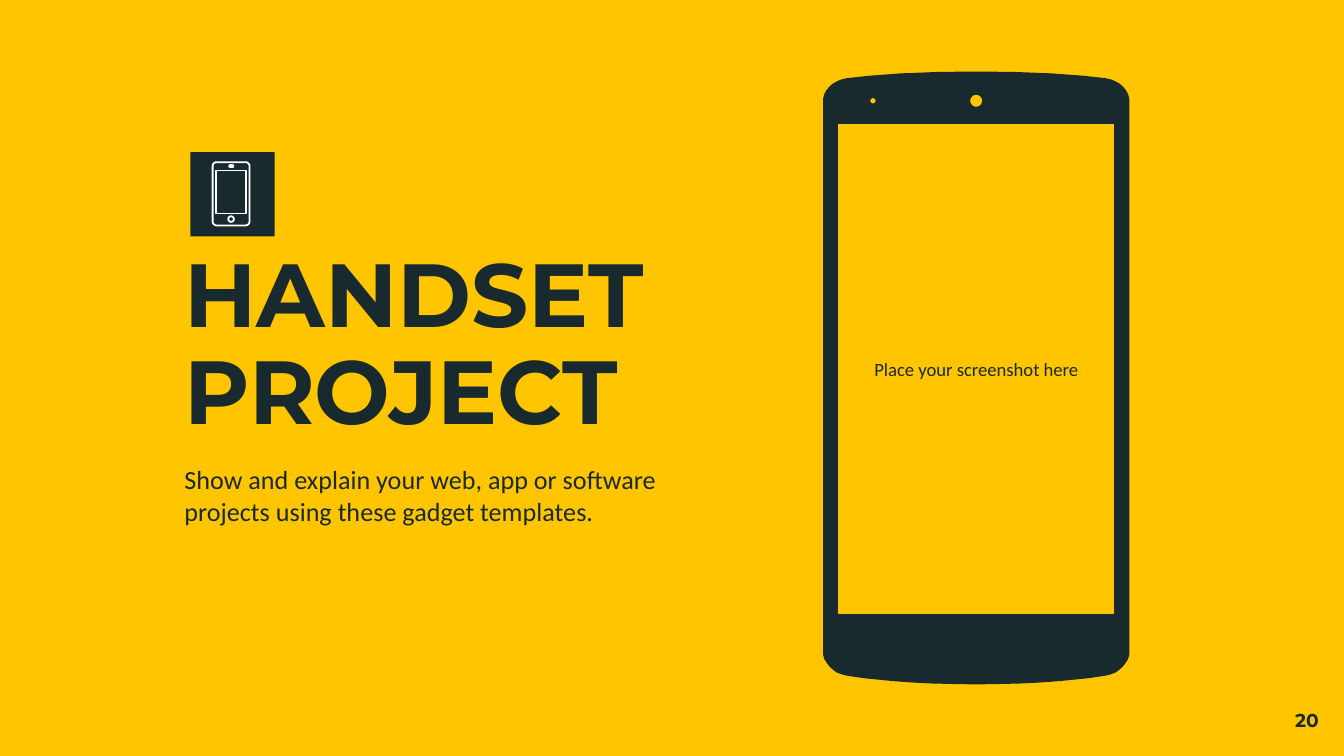
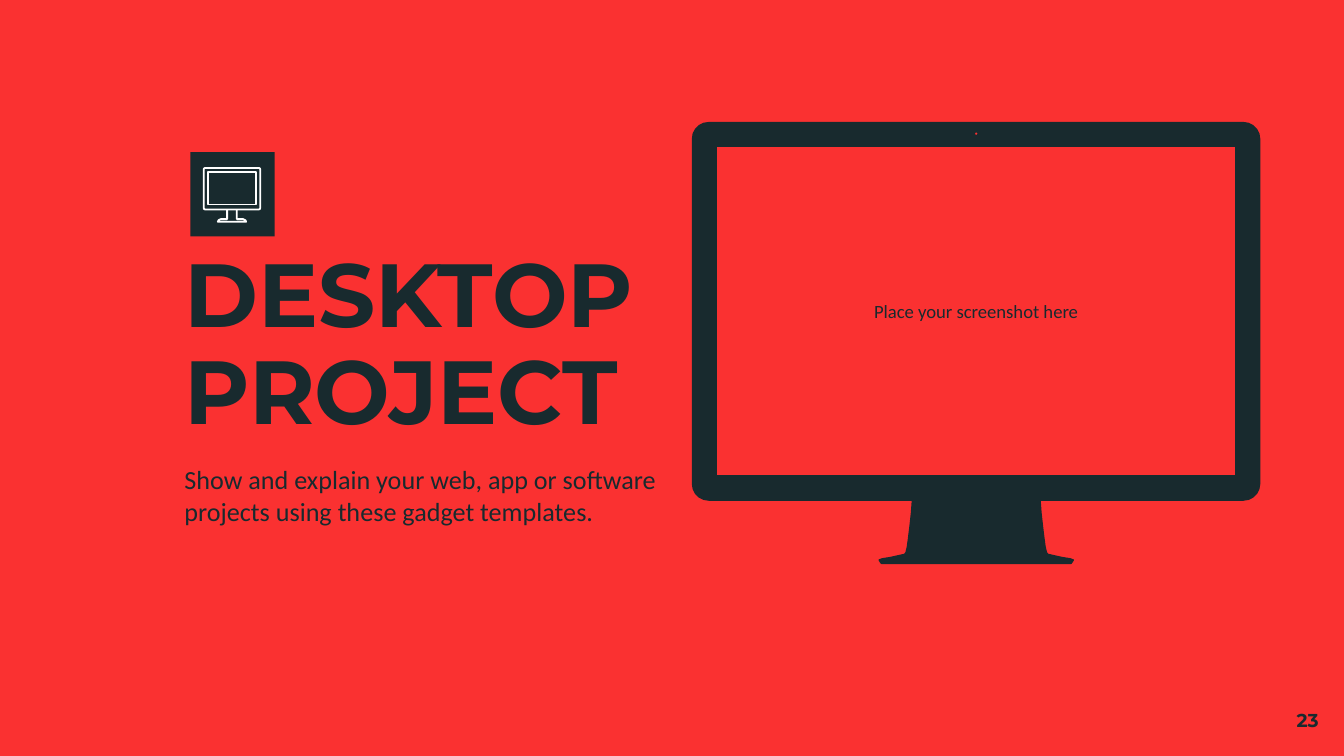
import math

import pptx
import pptx.dml.color
import pptx.enum.shapes
import pptx.enum.text
import pptx.util

Pt = pptx.util.Pt
ALIGN = pptx.enum.text.PP_ALIGN
ANCHOR = pptx.enum.text.MSO_ANCHOR

DARK, WHITE, YELLOW, RED = "182A2E", "FFFFFF", "FFC500", "FA3131"
HEAD_FONT, BODY_FONT = "Montserrat", "Calibri"
DEVICE_X = 523  # vertical axis of both devices
INTRO = ("Show and explain your web, app or software projects "
         "using these gadget templates.")

# Right-hand profiles: distance from the axis, then y
PHONE_PROFILE = [
    (0, 38.7), (20, 38.9), (40.5, 39.7), (58, 41), (69.5, 42.3), (72.3, 43),
    (74.6, 44), (76.7, 45.2), (78.6, 46.9), (80, 48.7), (81.1, 50.7),
    (81.7, 53.2), (81.7, 350.5), (81, 353), (79.7, 355), (78.2, 357),
    (76.5, 358.5), (74.5, 360), (71.7, 361), (69.3, 361.6), (60, 363),
    (45, 364.5), (35.6, 365.2), (24.8, 365.8), (12.6, 366.1), (0, 366.3)]
STAND_PROFILE = [
    (34.2, 268.2), (34.7, 275), (35.5, 282.2), (36.3, 288.7), (36.9, 293),
    (37.6, 296), (38.4, 297), (41, 297.6), (46, 298.7), (50.4, 299.4),
    (52, 300), (51.4, 301), (50.8, 301.8)]
ICON_STAND_PROFILE = [
    (2.6, 112.3), (2.6, 117.4), (6, 117.4), (7.2, 118), (7.6, 118.8)]


def rgb(color):
    return pptx.dml.color.RGBColor.from_string(color)


def mirror(profile, cx):
    """Outline made of a right-hand profile and its reflection about cx."""
    return ([(cx + dx, y) for dx, y in profile]
            + [(cx - dx, y) for dx, y in reversed(profile)])


def rounded(x, y, w, h, r=0.0, steps=5):
    """Outline of a rectangle with corner radius r."""
    if not r:
        return [(x, y), (x + w, y), (x + w, y + h), (x, y + h)]
    corners = [(x + w - r, y + h - r), (x + r, y + h - r),
               (x + r, y + r), (x + w - r, y + r)]
    points = []
    for i, (cx, cy) in enumerate(corners):
        for step in range(steps + 1):
            angle = math.pi / 2 * (i + step / steps)
            points.append((cx + r * math.cos(angle), cy + r * math.sin(angle)))
    return points


def circle(cx, cy, r):
    return rounded(cx - r, cy - r, 2 * r, 2 * r, r)


def add_outline(s, contours, fill=None, line=DARK, width=0.75, close=True):
    """Draw contours as one freeform; inner contours become holes."""
    builder = None
    for contour in contours:
        points = [(Pt(x), Pt(y)) for x, y in contour]
        if builder is None:
            builder = s.shapes.build_freeform(*points[0])
        else:
            builder.move_to(*points[0])
        builder.add_line_segments(points[1:], close=close)
    sp = builder.convert_to_shape()
    sp.shadow.inherit = False
    if fill:
        sp.fill.solid()
        sp.fill.fore_color.rgb = rgb(fill)
    else:
        sp.fill.background()
    sp.line.color.rgb = rgb(line)
    sp.line.width = Pt(width)


def add_icon(s, contours, close=True):
    add_outline(s, contours, line=WHITE, width=0.96, close=close)


def add_text(s, text, box, size, font=BODY_FONT, bold=False,
             align=ALIGN.LEFT, anchor=ANCHOR.TOP, spacing=None):
    tf = s.shapes.add_textbox(*map(Pt, box)).text_frame
    tf.word_wrap = True
    tf.vertical_anchor = anchor
    tf.margin_left = tf.margin_right = Pt(7.2)
    tf.margin_top = tf.margin_bottom = Pt(7.2)
    p = tf.paragraphs[0]
    p.text = text
    p.alignment = align
    p.line_spacing = spacing
    for r in p.runs:
        r.font.name = font
        r.font.size = Pt(size)
        r.font.bold = bold
        r.font.color.rgb = rgb(DARK)


def add_project_slide(prs, background, title, number):
    """Slide with the parts that every project shares."""
    s = prs.slides.add_slide(prs.slide_layouts[6])
    s.background.fill.solid()
    s.background.fill.fore_color.rgb = rgb(background)
    sp = s.shapes.add_shape(pptx.enum.shapes.MSO_SHAPE.RECTANGLE,
                            Pt(102), Pt(81.5), Pt(45.2), Pt(45.2))
    sp.shadow.inherit = False
    sp.fill.solid()
    sp.fill.fore_color.rgb = rgb(DARK)
    sp.line.fill.background()
    add_text(s, title, (91.7, 126.7, 271.5, 152), 48, font=HEAD_FONT,
             bold=True, spacing=0.9)
    add_text(s, INTRO, (91.7, 241.2, 271.5, 128), 14)
    add_text(s, number, (670.3, 373.7, 43.2, 31), 10, font=HEAD_FONT,
             bold=True, align=ALIGN.RIGHT)
    return s


def add_device(s, body, screen):
    """Device with its screen cut out and a prompt in the middle of it."""
    add_outline(s, body + [rounded(*screen)], fill=DARK)
    add_text(s, "Place your screenshot here", screen, 10,
             align=ALIGN.CENTER, anchor=ANCHOR.MIDDLE)


def add_phone_slide(prs):
    s = add_project_slide(prs, YELLOW, "HANDSET PROJECT", "20")
    body = [mirror(PHONE_PROFILE, DEVICE_X),
            circle(DEVICE_X, 54, 3.6), circle(467.7, 54, 1.8)]
    add_device(s, body, (448.6, 66.3, 148.8, 263))
    add_icon(s, [rounded(113.9, 86.9, 19.8, 33.9, 2.2),
                 rounded(122.8, 88.5, 2.2, 1, 0.5),
                 rounded(115.9, 91.4, 15.8, 23),
                 circle(123.8, 117.4, 1.5)])


def add_desktop_slide(prs):
    s = add_project_slide(prs, RED, "DESKTOP\vPROJECT", "23")
    body = [rounded(371, 65.7, 303.8, 202.2, 8.6),
            circle(DEVICE_X, 71.6, 1), mirror(STAND_PROFILE, DEVICE_X)]
    add_device(s, body, (383.7, 78.5, 278.4, 176.6))
    add_icon(s, [mirror(ICON_STAND_PROFILE, 124.3)], close=False)
    add_icon(s, [rounded(109.2, 90, 30.2, 22.2, 0.7),
                 rounded(111.4, 92.2, 25.8, 17.4)])


def main():
    prs = pptx.Presentation()
    prs.slide_width, prs.slide_height = Pt(720), Pt(405)
    add_phone_slide(prs)
    add_desktop_slide(prs)
    prs.save("out.pptx")


if __name__ == "__main__":
    main()
